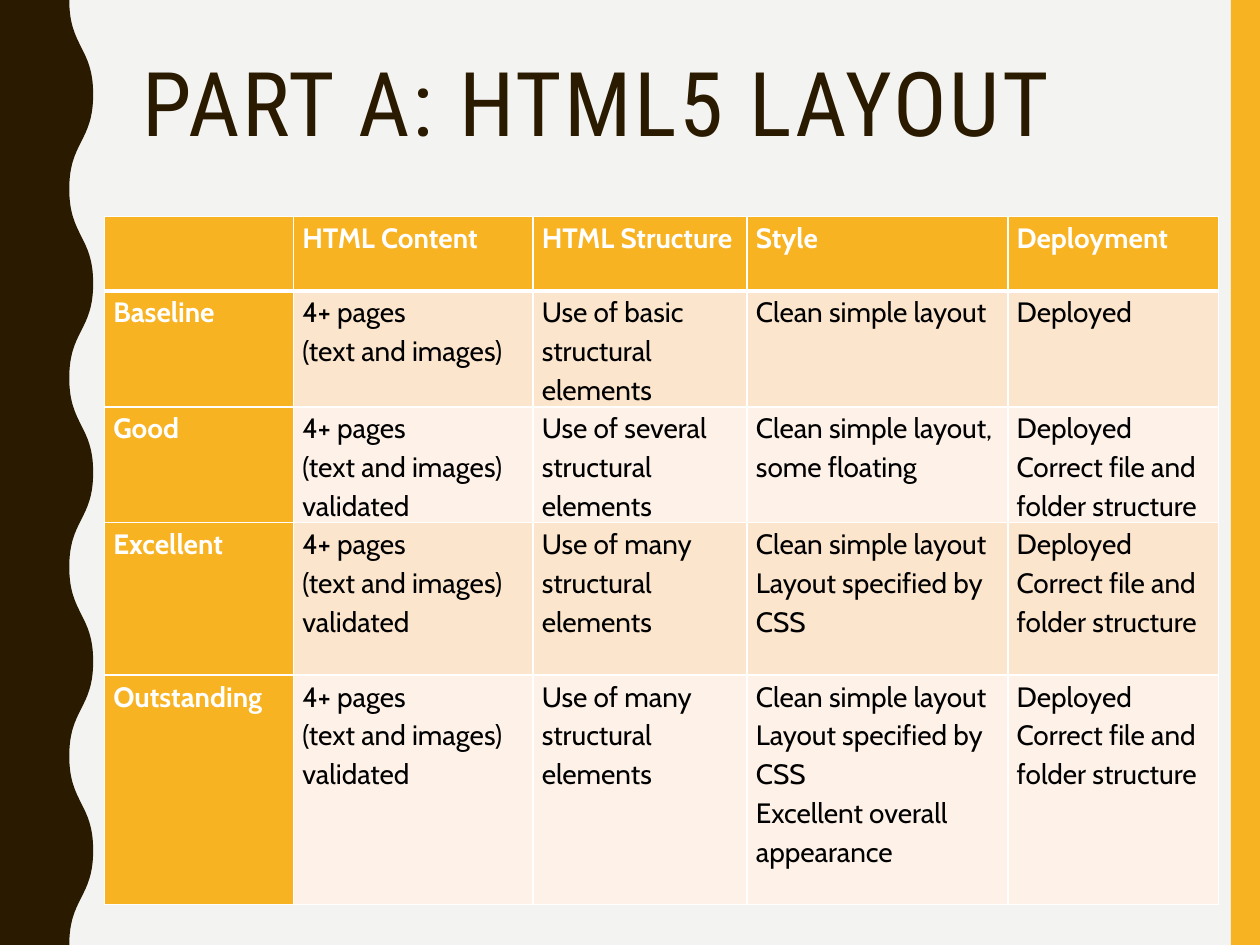
from dataclasses import dataclass
from typing import Any

from lxml import etree
from pptx import Presentation
from pptx import util as u
from pptx.dml.color import RGBColor
from pptx.enum import shapes, text
from pptx.oxml import ns

AMBER = RGBColor(0xF8, 0xB3, 0x23)
BROWN = RGBColor(0x2A, 0x1A, 0x00)
PAPER = RGBColor(0xF3, 0xF3, 0xF2)
PEACH = RGBColor(0xFC, 0xE5, 0xCD)
CREAM = RGBColor(0xFE, 0xF2, 0xE8)
WHITE = RGBColor(0xFF, 0xFF, 0xFF)
BLACK = RGBColor(0x00, 0x00, 0x00)

COLUMN_WIDTHS = [1.5, 1.9, 1.7, 2.07, 1.67]
ROW_HEIGHTS = [0.59, 0.9, 0.9, 1.21, 1.82]
PAGES = "4+ pages\n(text and images)"
VALIDATED = PAGES + "\nvalidated"
STRUCTURED = "Deployed\nCorrect file and folder structure"
STYLED = "Clean simple layout\nLayout specified by CSS"
RUBRIC = [
    ["", "HTML Content", "HTML Structure", "Style", "Deployment"],
    ["Baseline", PAGES, "Use of basic structural elements",
     "Clean simple layout", "Deployed"],
    ["Good", VALIDATED, "Use of several structural elements",
     "Clean simple layout, some floating", STRUCTURED],
    ["Excellent", VALIDATED, "Use of many structural elements",
     STYLED, STRUCTURED],
    ["Outstanding", VALIDATED, "Use of many structural elements",
     STYLED + "\nExcellent overall appearance", STRUCTURED],
]


@dataclass
class Deck:
    slide: Any
    heading_font: str = "Roboto Condensed"
    body_font: str = "Cabin"

    def paint(self, shape, color):
        shape.shadow.inherit = False
        shape.fill.solid()
        shape.fill.fore_color.rgb = color
        shape.line.fill.background()

    def bar(self, left, top, width, height, color):
        bar = self.slide.shapes.add_shape(
            shapes.MSO_SHAPE.RECTANGLE,
            *map(u.Inches, (left, top, width, height)))
        self.paint(bar, color)

    def wave(self, trough, crest, height, half_waves, color):
        edge = [(u.Inches(crest if index % 2 else trough),
                 u.Inches(height * index / half_waves))
                for index in range(half_waves + 1)]
        outline = self.slide.shapes.build_freeform(*edge[0])
        outline.add_line_segments([*edge[1:], (0, u.Inches(height)), (0, 0)])
        wave = outline.convert_to_shape()
        self.paint(wave, color)
        sides = list(wave._element.iter(ns.qn("a:lnTo")))
        for side, (x0, y0), (x1, y1) in zip(sides, edge, edge[1:]):
            middle = (y0 + y1) // 2
            curve = etree.Element(ns.qn("a:cubicBezTo"))
            for x, y in ((x0, middle), (x1, middle), (x1, y1)):
                etree.SubElement(curve, ns.qn("a:pt"), x=str(x), y=str(y))
            side.getparent().replace(side, curve)

    def title(self, left, top, width, height, words):
        box = self.slide.shapes.add_textbox(
            *map(u.Inches, (left, top, width, height)))
        frame = box.text_frame
        frame.word_wrap = True
        frame.vertical_anchor = text.MSO_ANCHOR.TOP
        heading = frame.paragraphs[0]
        heading.line_spacing = 0.9
        run = heading.add_run()
        run.text = words
        run.font.name = self.heading_font
        run.font.size = u.Pt(51)
        run.font.color.rgb = BROWN
        run.font._element.set("spc", "150")

    def border(self, cell, side, points):
        line = etree.SubElement(
            cell._tc.get_or_add_tcPr(), ns.qn(f"a:ln{side}"),
            w=str(u.Pt(points)))
        fill = etree.SubElement(line, ns.qn("a:solidFill"))
        etree.SubElement(fill, ns.qn("a:srgbClr"), val=str(WHITE))

    def cell(self, cell, words, row, column):
        for side in "LRTB":
            thick = (row, side) in ((0, "B"), (1, "T"))
            self.border(cell, side, 3 if thick else 1)
        is_label = row == 0 or column == 0
        cell.fill.solid()
        cell.fill.fore_color.rgb = (
            AMBER if is_label else PEACH if row % 2 else CREAM)
        cell.margin_left = cell.margin_right = u.Inches(0.07)
        cell.margin_top = cell.margin_bottom = 0
        cell.text_frame.text = words
        for paragraph in cell.text_frame.paragraphs:
            paragraph.line_spacing = 1.15
            paragraph.font.name = self.body_font
            paragraph.font.size = u.Pt(16)
            paragraph.font.bold = is_label
            paragraph.font.color.rgb = WHITE if is_label else BLACK

    def table(self, left, top, widths, heights, rows):
        table = self.slide.shapes.add_table(
            len(heights), len(widths),
            *map(u.Inches, (left, top, sum(widths), sum(heights)))).table
        for column, width in zip(table.columns, widths):
            column.width = u.Inches(width)
        for row, height in zip(table.rows, heights):
            row.height = u.Inches(height)
        for r, row in enumerate(rows):
            for c, words in enumerate(row):
                self.cell(table.cell(r, c), words, r, c)


def main():
    presentation = Presentation()
    presentation.slide_width = u.Inches(10)
    presentation.slide_height = u.Inches(7.5)
    slide = presentation.slides.add_slide(presentation.slide_layouts[6])
    slide.background.fill.solid()
    slide.background.fill.fore_color.rgb = PAPER

    deck = Deck(slide)
    deck.bar(9.77, 0, 0.23, 7.5, AMBER)
    deck.wave(0.55, 0.74, 7.5, 10, BROWN)
    deck.title(1.03, 0.42, 8.35, 1.63, "PART A: HTML5 LAYOUT")
    deck.table(0.83, 1.72, COLUMN_WIDTHS, ROW_HEIGHTS, RUBRIC)
    presentation.save("out.pptx")


if __name__ == "__main__":
    main()
